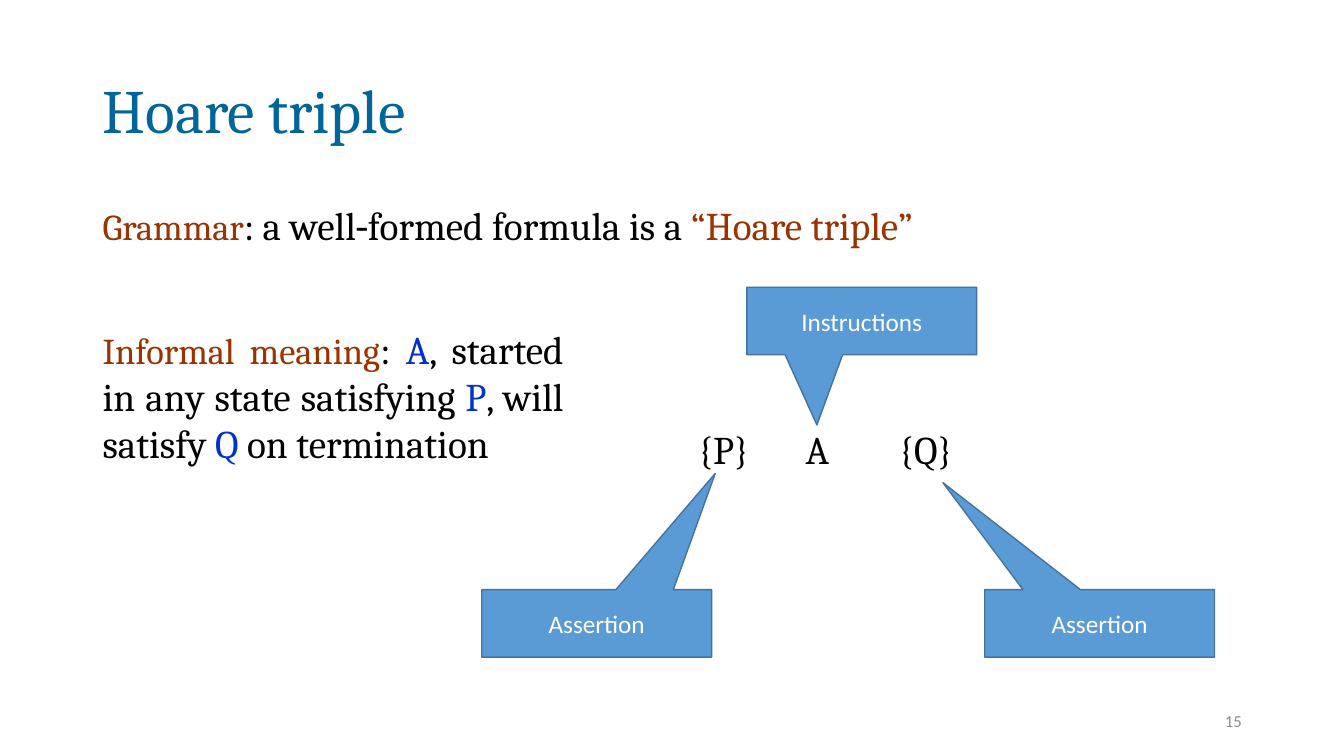
import pptx
import pptx.util
import pptx.dml.color
import pptx.enum.shapes
import pptx.enum.text
from dataclasses import dataclass
from lxml import etree

ALIGN = pptx.enum.text.PP_ALIGN
ANCHOR = pptx.enum.text.MSO_ANCHOR


@dataclass(frozen=True)
class Theme:
    serif: str = "Cambria"
    sans: str = "Calibri"
    title: str = "00659A"
    text: str = "000000"
    term: str = "9A3300"
    symbol: str = "0033CC"
    fill: str = "5B9BD5"
    line: str = "43739E"
    label: str = "FFFFFF"
    number: str = "8C8C8C"
    title_size: int = 44
    body_size: int = 28
    term_size: int = 26
    label_size: int = 18
    number_size: int = 12


T = Theme()
prs = pptx.Presentation()
prs.slide_width = pptx.util.Inches(13.33)
prs.slide_height = pptx.util.Inches(7.5)
COL = prs.slide_width / 100
ROW = prs.slide_height / 100


def rgb(value):
    return pptx.dml.color.RGBColor.from_string(value)


def grid(x, y, w, h):
    return [round(v) for v in (x * COL, y * ROW, w * COL, h * ROW)]


def add_run(p, text, color=T.text, size=T.body_size, font=T.serif):
    r = p.add_run()
    r.text = text
    r.font.name = font
    r.font.size = pptx.util.Pt(size)
    r.font.color.rgb = rgb(color)


def text_frame(s, box, anchor=ANCHOR.TOP):
    tf = s.shapes.add_textbox(*grid(*box)).text_frame
    tf.word_wrap = True
    tf.vertical_anchor = anchor
    return tf


def title(s, box):
    p = text_frame(s, box, ANCHOR.MIDDLE).paragraphs[0]
    p.line_spacing = 0.9
    add_run(p, "Hoare triple", T.title, T.title_size)


def grammar(s, box, stops):
    tf = text_frame(s, box)
    p = tf.paragraphs[0]
    p.line_spacing = 0.9
    add_run(p, "Grammar", T.term, T.term_size)
    add_run(p, ": a well\u2010formed formula is a ")
    add_run(p, "“Hoare triple”", T.term)

    p = tf.add_paragraph()
    p.line_spacing = 0.9
    p.space_before = pptx.util.Pt(130)
    ns = "{http://schemas.openxmlformats.org/drawingml/2006/main}"
    tabs = etree.SubElement(p._p.get_or_add_pPr(), ns + "tabLst")
    for stop in stops:
        etree.SubElement(tabs, ns + "tab", pos=str(round(stop * COL)), algn="l")
    for part in ("{P}", "A", "{Q}"):
        add_run(p, "\t" + part)


def meaning(s, box):
    tf = text_frame(s, box)
    tf.margin_right = pptx.util.Inches(0.2)
    p = tf.paragraphs[0]
    p.alignment = ALIGN.JUSTIFY
    add_run(p, "Informal meaning", T.term, T.term_size)
    for text, color in (
        (": ", T.text), ("A", T.symbol),
        (", started in any state satisfying ", T.text), ("P", T.symbol),
        (", will satisfy ", T.text), ("Q ", T.symbol),
        ("on termination", T.text),
    ):
        add_run(p, text, color)


def callouts(s, box):
    x, y, w, h = box
    cw, ch = 17.1, 8.93
    right, bottom = x + w - cw, y + h - ch
    for label, left, top, tip in (
        ("Instructions", x + 19.72, y, (-0.195, 1.539)),
        ("Assertion", x, bottom, (0.516, -2.223)),
        ("Assertion", right, bottom, (-0.682, -2.086)),
    ):
        sp = s.shapes.add_shape(
            pptx.enum.shapes.MSO_SHAPE.RECTANGULAR_CALLOUT,
            *grid(left, top, cw, ch))
        sp.adjustments[0], sp.adjustments[1] = tip
        sp.shadow.inherit = False
        sp.fill.solid()
        sp.fill.fore_color.rgb = rgb(T.fill)
        sp.line.color.rgb = rgb(T.line)
        sp.line.width = pptx.util.Pt(1)
        tf = sp.text_frame
        tf.vertical_anchor = ANCHOR.MIDDLE
        p = tf.paragraphs[0]
        p.alignment = ALIGN.CENTER
        add_run(p, label, T.label, T.label_size, T.sans)


def page_number(s, box):
    p = text_frame(s, box, ANCHOR.MIDDLE).paragraphs[0]
    p.alignment = ALIGN.RIGHT
    add_run(p, "15", T.number, T.number_size, T.sans)


s = prs.slides.add_slide(prs.slide_layouts[6])
title(s, (6.9, 5.33, 86.25, 19.33))
grammar(s, (6.9, 26.67, 86.25, 63.47), (44.3, 52.3, 59.25))
page_number(s, (70.65, 92.67, 22.5, 5.33))
callouts(s, (35.85, 38, 54.52, 48.93))
meaning(s, (6.9, 42.4, 36.53, 20.13))
prs.save("out.pptx")
